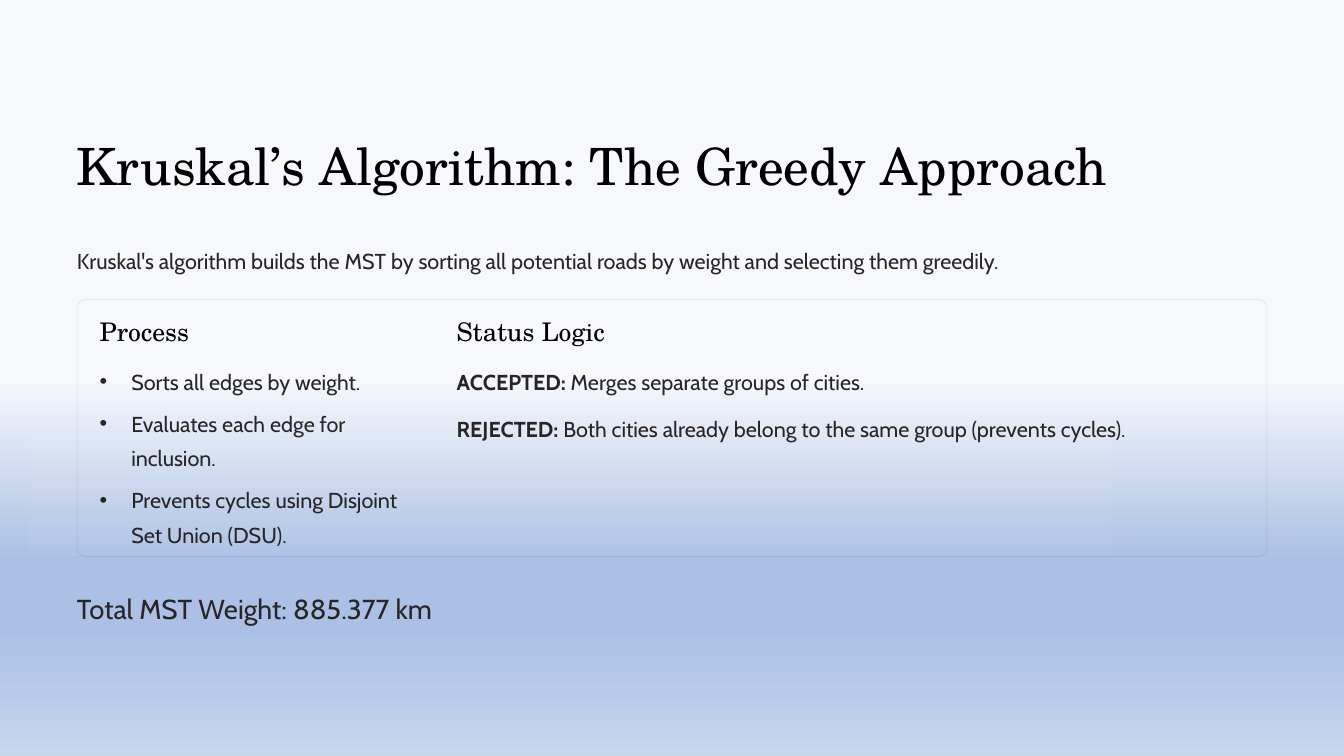
from copy import deepcopy
from lxml import etree
from pptx import Presentation
from pptx.dml.color import RGBColor
from pptx.enum import shapes, text
from pptx.oxml.ns import qn
from pptx.util import Pt

BLACK = RGBColor(0x00, 0x00, 0x00)
INK = RGBColor(0x27, 0x25, 0x25)
WHITE = RGBColor(0xFF, 0xFF, 0xFF)
PALE = RGBColor(0xF6, 0xF8, 0xFC)
BLUE = RGBColor(0xAB, 0xC0, 0xE4)
SKY = RGBColor(0xC7, 0xD5, 0xED)
STOPS = [(50, PALE), (74, BLUE), (83, BLUE), (100, SKY)]
SERIF, SANS = "TeX Gyre Schola", "Cabin"


def place(shape, left, top, width, height):
    """Move a shape to a box given in points."""
    shape.left, shape.top = Pt(left), Pt(top)
    shape.width, shape.height = Pt(width), Pt(height)


def write(shape, lines, font=SANS, size=18.5, color=INK, lead=30, gap=0, bullet=False):
    """Fill a shape with lines, each a list of (text, bold) runs."""
    frame = shape.text_frame
    frame.auto_size = text.MSO_AUTO_SIZE.NONE
    frame.word_wrap = True
    frame.vertical_anchor = text.MSO_ANCHOR.TOP
    frame.margin_left = frame.margin_right = 0
    frame.margin_top = frame.margin_bottom = 0
    for i, line in enumerate(lines):
        para = frame.add_paragraph() if i else frame.paragraphs[0]
        para.alignment = text.PP_ALIGN.LEFT
        para.line_spacing = Pt(lead)
        para.space_before = Pt(gap if i else 0)
        if bullet:
            props = para._p.get_or_add_pPr()
            props.set("marL", str(Pt(27)))
            props.set("indent", str(-Pt(27)))
            etree.SubElement(props, qn("a:buChar")).set("char", "•")
        for words, bold in line:
            run = para.add_run()
            run.text = words
            run.font.name, run.font.size = font, Pt(size)
            run.font.bold, run.font.color.rgb = bold, color


def label(slide, box, lines, **form):
    """Add a text box in the given box."""
    shape = slide.shapes.add_textbox(0, 0, 0, 0)
    place(shape, *box)
    write(shape, lines, **form)


def fade(fill, percent):
    """Set the opacity of a solid fill."""
    tint = fill._xPr.find(qn("a:solidFill"))[0]
    etree.SubElement(tint, qn("a:alpha")).set("val", str(percent * 1000))


def paint(slide):
    """Give the slide its vertical gradient."""
    slide.background.fill.gradient()
    grad = slide.element.find(".//" + qn("a:gradFill"))
    stops = grad.find(qn("a:gsLst"))
    model = deepcopy(stops[0])
    for old in list(stops):
        stops.remove(old)
    for spot, color in STOPS:
        stop = deepcopy(model)
        stop.set("pos", str(spot * 1000))
        for old in list(stop):
            stop.remove(old)
        etree.SubElement(stop, qn("a:srgbClr")).set("val", str(color))
        stops.append(stop)
    line = grad.find(qn("a:lin"))
    line.set("ang", "5400000")
    line.set("scaled", "0")


def panel(slide, body, left, top, width, height):
    """Draw the framed panel with its two columns."""
    kind = shapes.MSO_SHAPE
    frame = slide.shapes.add_shape(kind.ROUNDED_RECTANGLE, 0, 0, 0, 0)
    place(frame, left, top, width, height)
    frame.adjustments[0] = 0.036
    frame.shadow.inherit = False
    frame.fill.background()
    frame.line.width = Pt(0.6)
    frame.line.fill.solid()
    frame.line.color.rgb = BLACK
    fade(frame.line.fill, 8)

    veil = slide.shapes.add_shape(kind.RECTANGLE, 0, 0, 0, 0)
    place(veil, left - 40.5, top + 1, 926.5, height - 1)
    veil.shadow.inherit = False
    veil.fill.solid()
    veil.fill.fore_color.rgb = WHITE
    fade(veil.fill, 4)
    veil.line.fill.background()

    first, second = left + 19.5, left + 325.5
    for x, head in ((first, "Process"), (second, "Status Logic")):
        label(slide, (x, top + 13, 222, 27.5), [[(head, False)]],
              font=SERIF, size=22, color=BLACK, lead=27.5)

    steps = ["Sorts all edges by weight.", "Evaluates each edge for inclusion.",
             "Prevents cycles using Disjoint Set Union (DSU)."]
    place(body, first, top + 51.5, 268, 162)
    write(body, [[(step, False)] for step in steps], gap=6, bullet=True)
    slide.shapes._spTree.append(body._element)

    rules = [("ACCEPTED:", " Merges separate groups of cities."),
             ("REJECTED:", " Both cities already belong to the same group (prevents cycles).")]
    label(slide, (second, top + 51.5, 675, 71),
          [[(state, True), (why, False)] for state, why in rules], gap=11)


def build(slide, left, width):
    """Lay out the whole slide between its side margins."""
    paint(slide)
    title, body = slide.placeholders
    place(title, left, 112.5, 914, 55)
    write(title, [[("Kruskal’s Algorithm: The Greedy Approach", False)]],
          font=SERIF, size=44, color=BLACK, lead=55)
    label(slide, (left, 205, width, 30),
          [[("Kruskal's algorithm builds the MST by sorting all potential roads "
             "by weight and selecting them greedily.", False)]])
    panel(slide, body, left, 256.5, width, 220.5)
    label(slide, (left, 498, width, 37.5), [[("Total MST Weight: 885.377 km", False)]],
          size=23.5, lead=37.5)


def main():
    """Make and save the deck."""
    deck = Presentation()
    deck.slide_width, deck.slide_height = Pt(1152), Pt(648)
    build(deck.slides.add_slide(deck.slide_layouts[1]), 66, 1020)
    deck.save("out.pptx")


if __name__ == "__main__":
    main()
